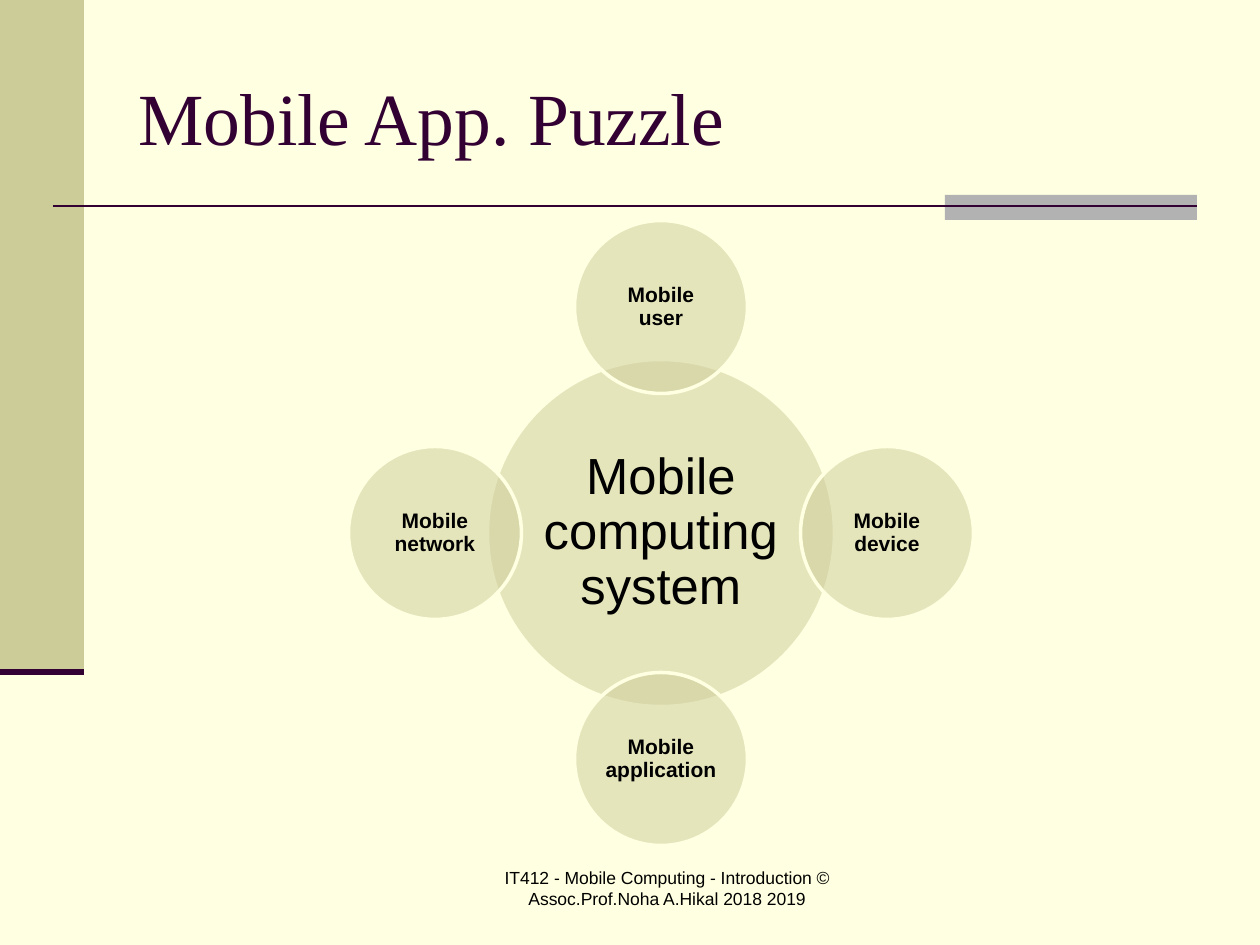
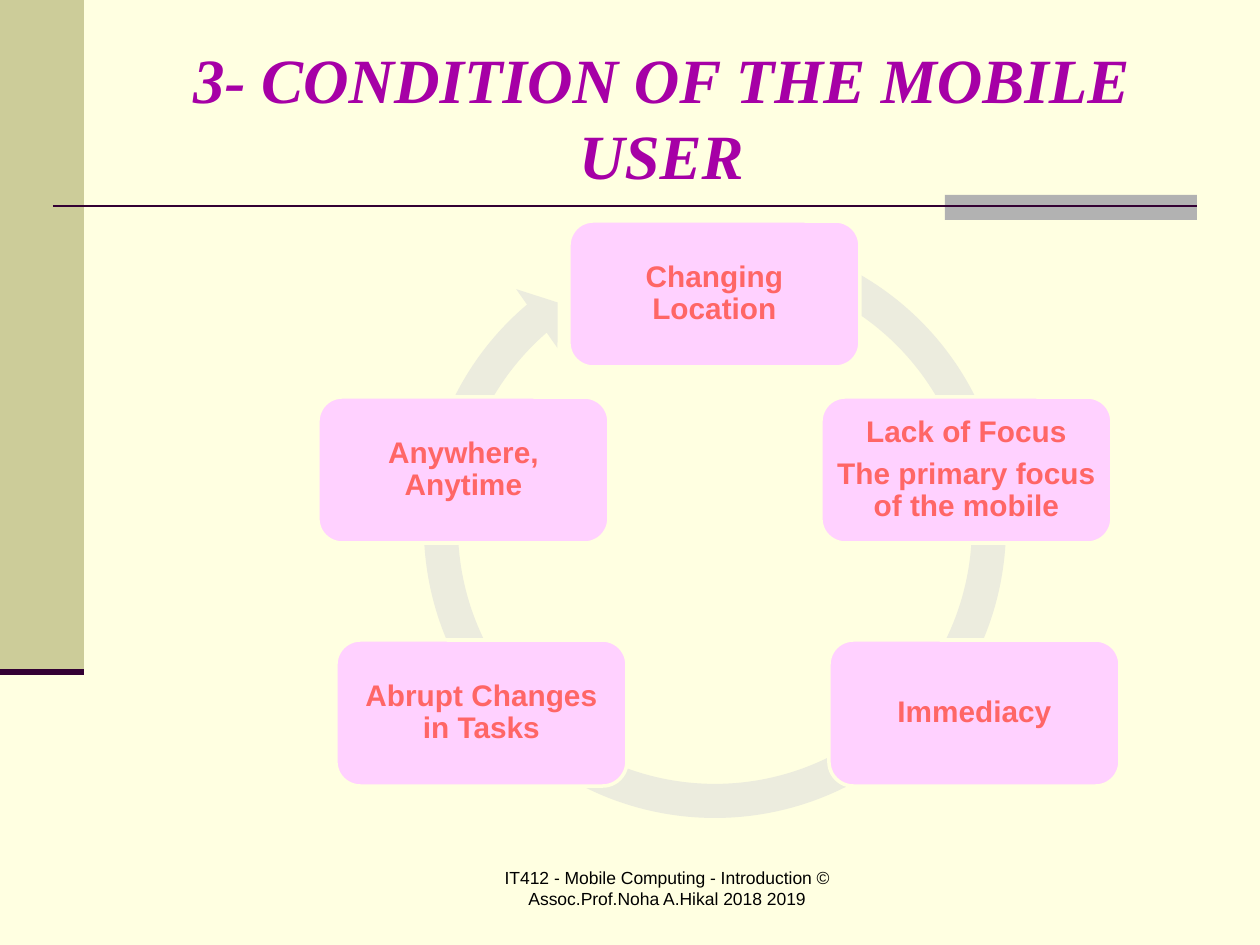
from lxml import etree
from pptx import Presentation
from pptx import util as u
from pptx.dml.color import RGBColor
from pptx.enum import shapes, text
from pptx.oxml import ns

SCALE = 914400 / 126
color = RGBColor.from_string
CREAM, KHAKI, GREY, PLUM = "FFFFE1", "CCCC99", "B2B2B2", "330033"
PINK, CORAL, RING, PURPLE, BLACK = "FFD1FF", "FF6666", "ECECDE", "A600A6", "000000"
FOOTER = "IT412 - Mobile Computing - Introduction © Assoc.Prof.Noha A.Hikal 2018 2019"
KIND = shapes.MSO_SHAPE


def add_shape(slide, kind, box, fill, outline=None):
    shape = slide.shapes.add_shape(kind, *[round(length * SCALE) for length in box])
    shape.shadow.inherit = False
    shape.fill.solid()
    shape.fill.fore_color.rgb = color(fill)
    if outline:
        shape.line.color.rgb = color(outline)
        shape.line.width = u.Pt(2)
    else:
        shape.line.fill.background()
    return shape


def write(shape, lines, size, ink, face="Arial", bold=False, italic=False,
          align=text.PP_ALIGN.CENTER, inset=None, spacing=None):
    frame = shape.text_frame
    frame.word_wrap = True
    if inset is not None:
        frame.margin_left = frame.margin_right = round(inset * SCALE)
        frame.margin_top = frame.margin_bottom = round(inset * SCALE)
    frame.text = "\n".join(lines)
    for paragraph in frame.paragraphs:
        paragraph.alignment = align
        paragraph.font.name = face
        paragraph.font.size = u.Pt(size)
        paragraph.font.bold = bold
        paragraph.font.italic = italic
        paragraph.font.color.rgb = color(ink)
        if spacing:
            paragraph.line_spacing = spacing
            paragraph.space_after = u.Pt(round(size * 0.35))


presentation = Presentation()
presentation.slide_width = round(1260 * SCALE)
presentation.slide_height = round(945 * SCALE)

titles = [
    ("Mobile App. Puzzle", 42, PLUM, False, text.PP_ALIGN.LEFT),
    ("3- CONDITION OF THE MOBILE USER", 36, PURPLE, True, text.PP_ALIGN.CENTER),
]
slides = []
for title, size, ink, emphasis, align in titles:
    slide = presentation.slides.add_slide(presentation.slide_layouts[6])
    slides.append(slide)
    slide.background.fill.solid()
    slide.background.fill.fore_color.rgb = color(CREAM)
    add_shape(slide, KIND.RECTANGLE, (0, 0, 84, 672), KHAKI)
    add_shape(slide, KIND.RECTANGLE, (945, 195, 252, 25), GREY)
    for left, right, y, width in [(53, 1197, 206, 1.5), (0, 84, 672, 3.5)]:
        ends = [round(length * SCALE) for length in (left, y, right, y)]
        rule = slide.shapes.add_connector(shapes.MSO_CONNECTOR.STRAIGHT, *ends)
        rule.line.color.rgb = color(PLUM)
        rule.line.width = u.Pt(width)
        etree.SubElement(rule._element.spPr, ns.qn("a:effectLst"))
    heading = slide.shapes.add_textbox(*[round(v * SCALE) for v in (126, 38, 1071, 157)])
    heading.text_frame.vertical_anchor = text.MSO_ANCHOR.MIDDLE
    write(heading, [title], size, ink, "Times New Roman", emphasis, emphasis, align)
    footer = slide.shapes.add_textbox(*[round(v * SCALE) for v in (462, 861, 410, 63)])
    write(footer, [FOOTER], 10, BLACK)

puzzle, conditions = slides

center_x, center_y, orbit = 661, 533, 226
circles = [
    ("Mobile computing system", 0, 0, 347, 29, False, 5),
    ("Mobile user", 0, -1, 173, 12, True, 3),
    ("Mobile device", 1, 0, 173, 12, True, 3),
    ("Mobile application", 0, 1, 173, 12, True, 3),
    ("Mobile network", -1, 0, 173, 12, True, 3),
]
for label, across, down, diameter, size, bold, inset in circles:
    left = center_x + across * orbit - diameter / 2
    top = center_y + down * orbit - diameter / 2
    circle = add_shape(puzzle, KIND.OVAL, (left, top, diameter, diameter), KHAKI, CREAM)
    fill_color = circle._element.spPr.find(ns.qn("a:solidFill"))[0]
    etree.SubElement(fill_color, ns.qn("a:alpha"), val="50000")
    write(circle, [label], size, BLACK, bold=bold, inset=inset, spacing=0.9)

ring = add_shape(conditions, KIND.CIRCULAR_ARROW, (405, 217, 620, 620), RING)
for index, value in enumerate((0.055, 3.307, 137.685, 173.905, 0.058)):
    ring.adjustments[index] = value

cards = [
    (569, 221, ["Changing Location"]),
    (821, 397, ["Lack of Focus", "The primary focus of the mobile"]),
    (829, 640, ["Immediacy"]),
    (336, 640, ["Abrupt Changes in Tasks"]),
    (318, 397, ["Anywhere, Anytime"]),
]
for left, top, lines in cards:
    card = add_shape(conditions, KIND.ROUNDED_RECTANGLE, (left, top, 291, 146), PINK, CREAM)
    write(card, lines, 17, CORAL, bold=True, inset=8, spacing=0.9)

presentation.save("out.pptx")
